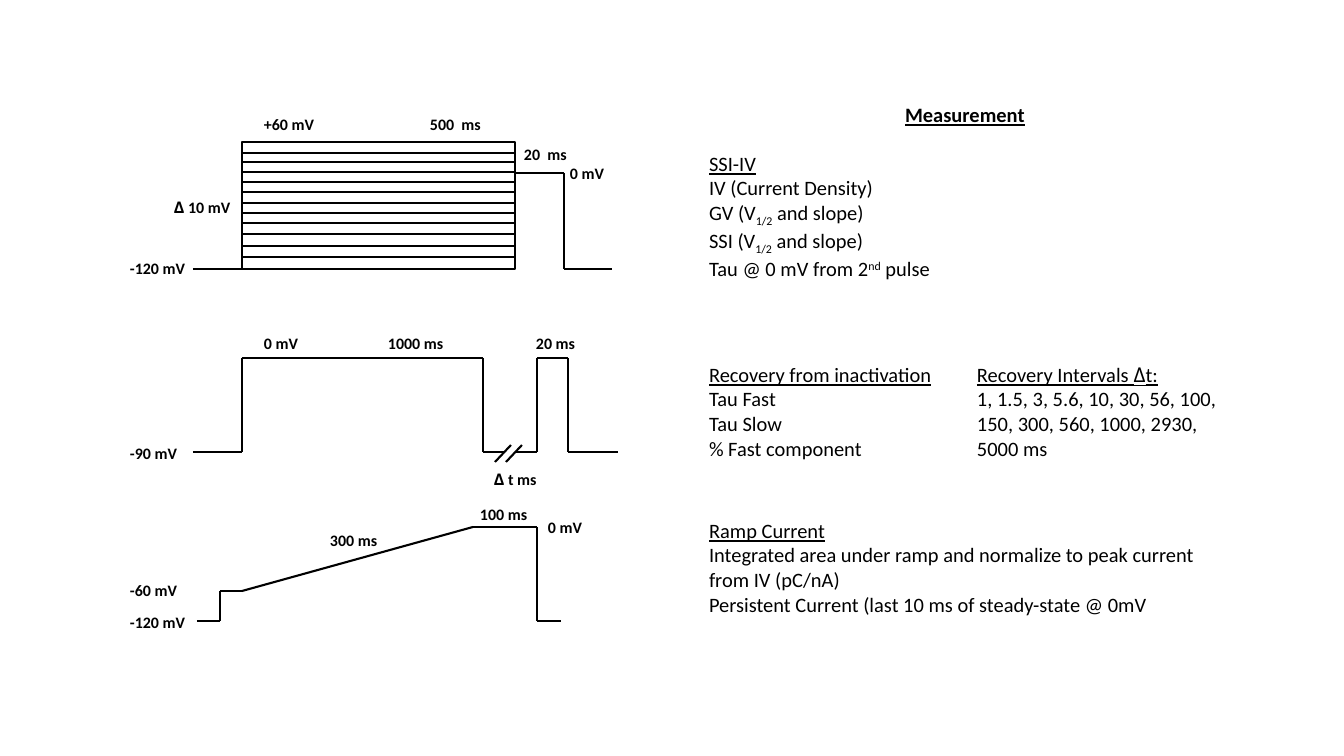
from dataclasses import dataclass
from itertools import pairwise

from lxml import etree
from pptx import Presentation
from pptx.dml.color import RGBColor
from pptx.enum.shapes import MSO_CONNECTOR, MSO_SHAPE
from pptx.enum.text import MSO_ANCHOR, MSO_AUTO_SIZE, PP_ALIGN
from pptx.oxml.ns import qn
from pptx.util import Emu, Pt

STRAIGHT = MSO_CONNECTOR.STRAIGHT
RECTANGLE = MSO_SHAPE.RECTANGLE
TOP = MSO_ANCHOR.TOP
LEFT = PP_ALIGN.LEFT
GROW = MSO_AUTO_SIZE.SHAPE_TO_FIT_TEXT
COMPARISON_LAYOUT = 4
BASELINES = {"1/2": "-25000", "nd": "30000"}


@dataclass(frozen=True)
class Theme:
    """Colours, fonts and sizes shared by the whole slide."""
    ink: RGBColor = RGBColor(0, 0, 0)
    font: str = "Calibri"
    symbol_font: str = "Noto Sans"
    label_size: Pt = Pt(11.4)
    text_size: Pt = Pt(14.6)
    stroke: Pt = Pt(1.5)


THEME = Theme()


def px(length):
    """Turn pixels into EMU."""
    return Emu(round(length * 914400 / 100.8))


def write(frame, lines, size, bold=False, heading=False):
    """Fill a text frame; bars part the runs of a line."""
    frame.word_wrap = True
    frame.auto_size = GROW
    frame.vertical_anchor = TOP
    frame.margin_left = frame.margin_right = px(8)
    frame.margin_top = frame.margin_bottom = px(4)
    for index, line in enumerate(lines):
        para = frame.add_paragraph() if index else frame.paragraphs[0]
        para.alignment = LEFT
        para.line_spacing = 1.0
        para.space_before = para.space_after = Pt(0)
        properties = para._p.get_or_add_pPr()
        properties.set("marL", "0")
        properties.set("indent", "0")
        etree.SubElement(properties, qn("a:buNone"))
        for part in line.split("|"):
            span = para.add_run()
            span.text = part
            font = span.font
            font.name = THEME.symbol_font if part == "Δ" else THEME.font
            font.size = size
            font.bold = bold
            font.underline = heading and index == 0
            font.color.rgb = THEME.ink
            if part in BASELINES:
                span._r.get_or_add_rPr().set("baseline", BASELINES[part])


def draw_trace(group, box, points):
    """Join points, given relative to the box, with straight lines."""
    left, top = box
    for (x1, y1), (x2, y2) in pairwise(points):
        line = group.shapes.add_connector(
            STRAIGHT, px(left + x1), px(top + y1), px(left + x2), px(top + y2))
        line.line.color.rgb = THEME.ink
        line.line.width = THEME.stroke
        etree.SubElement(line._element.spPr, qn("a:effectLst"))


def add_labels(page, box, labels):
    """Place bold protocol labels relative to the box."""
    left, top = box
    for x, y, text in labels:
        label = page.shapes.add_textbox(px(left + x), px(top + y), px(87), px(27))
        write(label.text_frame, [text], THEME.label_size, bold=True)


def draw_step_protocol(page, box):
    """Draw the family of voltage steps and its test pulse."""
    left, top = box
    step_left, step_top, width, height = 120, 31, 273, 127
    step_right, base = step_left + width, step_top + height
    group = page.shapes.add_group_shape()
    steps = group.shapes.add_shape(
        RECTANGLE, px(left + step_left), px(top + step_top), px(width), px(height))
    steps.shadow.inherit = False
    steps.fill.background()
    steps.line.color.rgb = THEME.ink
    steps.line.width = THEME.stroke
    for level in (11, 20, 30, 40, 50, 61, 71, 81, 92, 104, 115):
        y = step_top + level
        draw_trace(group, box, [(step_left, y), (step_right, y)])
    draw_trace(group, box, [(71, base), (step_left, base)])
    draw_trace(group, box, [(step_right, 62), (442, 62), (442, base), (490, base)])
    add_labels(page, box, [
        (134, 0, "+60 mV"), (300, 0, "500  ms"), (394, 30, "20  ms"),
        (440, 49, "0 mV"), (44, 83, "Δ| 10 mV"), (0, 144, "-120 mV")])


def draw_recovery_protocol(page, box):
    """Draw the two recovery pulses and the broken interval."""
    peak, base = 28, 122
    group = page.shapes.add_group_shape()
    draw_trace(group, box, [
        (71, base), (120, base), (120, peak), (361, peak), (361, base), (383, base)])
    draw_trace(group, box, [
        (393, base), (415, base), (415, peak), (446, peak), (446, base), (496, base)])
    for x in (373, 384):
        draw_trace(group, box, [(x + 16, 115), (x, 132)])
    add_labels(page, box, [
        (134, 0, "0 mV"), (258, 0, "1000 ms"), (406, 0, "20 ms"),
        (0, 110, "-90 mV"), (364, 136, "Δ| t ms")])


def draw_ramp_protocol(page, box):
    """Draw the voltage ramp."""
    peak, start, base = 26, 90, 120
    draw_trace(page.shapes.add_group_shape(), box, [
        (75, base), (98, base), (98, start), (120, start),
        (351, peak), (415, peak), (415, base), (439, base)])
    add_labels(page, box, [
        (350, 0, "100 ms"), (418, 13, "0 mV"), (200, 26, "300 ms"),
        (0, 76, "-60 mV"), (0, 108, "-120 mV")])


def fill_measurements(page, box):
    """Fill the title and the four measurement lists."""
    left, top = box
    blocks = [
        (196, 0, 139, 33, ["Measurement"]),
        (0, 49, 259, 132, [
            "SSI-IV", "IV (Current Density)", "GV (V|1/2| and slope)",
            "SSI (V|1/2| and slope)", "Tau @ 0 mV from 2|nd| pulse"]),
        (0, 260, 259, 108, [
            "Recovery from inactivation", "Tau Fast", "Tau Slow", "% Fast component"]),
        (268, 260, 259, 108, [
            "Recovery Intervals |Δ|t:",
            "1, 1.5, 3, 5.6, 10, 30, 56, 100, 150, 300, 560, 1000, 2930, 5000 ms"]),
        (0, 416, 517, 108, [
            "Ramp Current",
            "Integrated area under ramp and normalize to peak current from IV (pC/nA)",
            "Persistent Current (last 10 ms of steady-state @ 0mV"]),
    ]
    for holder, (x, y, width, height, lines) in zip(page.placeholders, blocks):
        holder.left, holder.top = px(left + x), px(top + y)
        holder.width, holder.height = px(width), px(height)
        is_title = holder == page.shapes.title
        write(holder.text_frame, lines, THEME.text_size, bold=is_title, heading=True)


def main():
    """Build and save the deck."""
    deck = Presentation()
    deck.slide_width, deck.slide_height = px(1344), px(756)
    page = deck.slides.add_slide(deck.slide_layouts[COMPARISON_LAYOUT])
    draw_step_protocol(page, (122, 111))
    draw_recovery_protocol(page, (122, 330))
    draw_ramp_protocol(page, (122, 501))
    fill_measurements(page, (701, 98))
    deck.save("out.pptx")


main()
